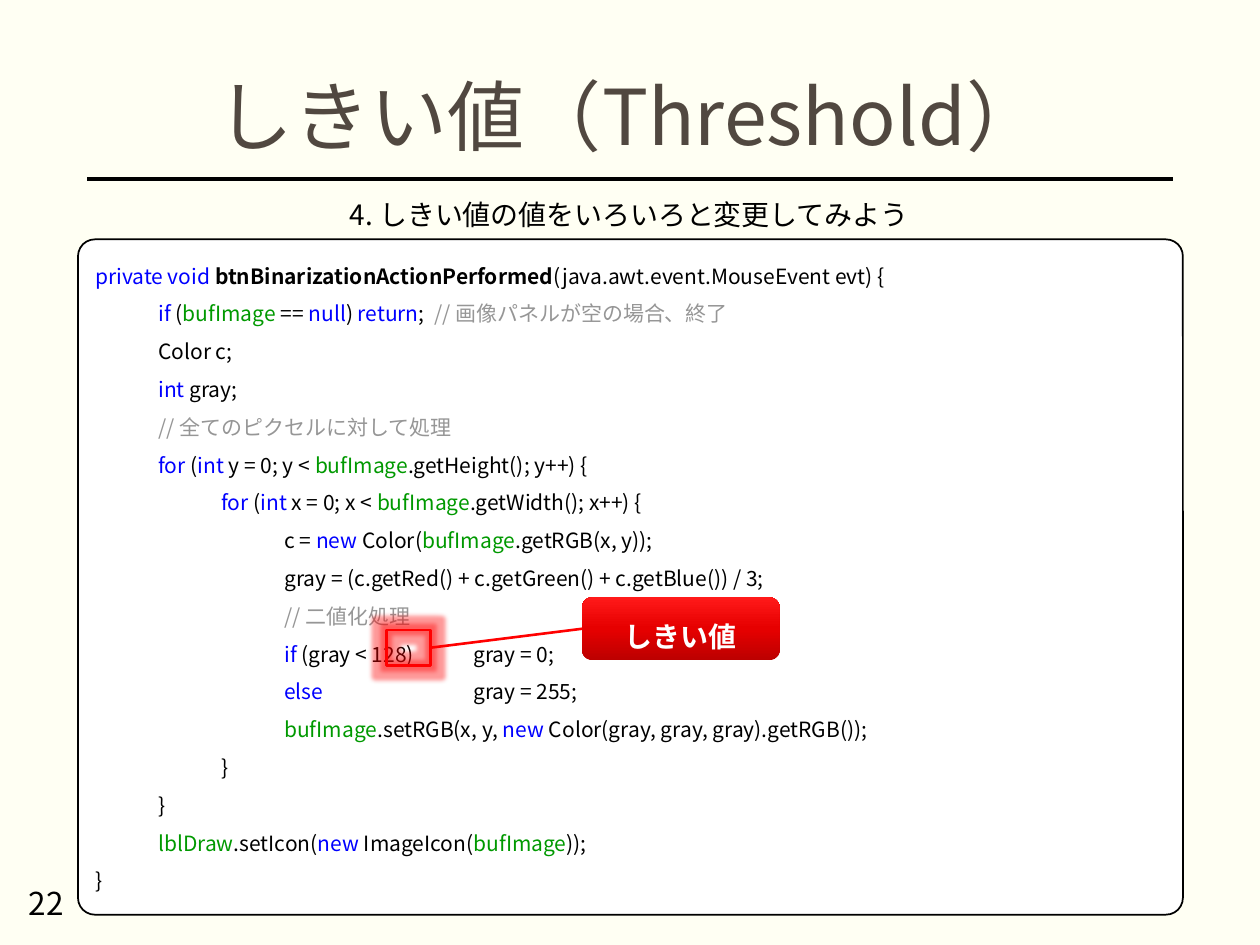
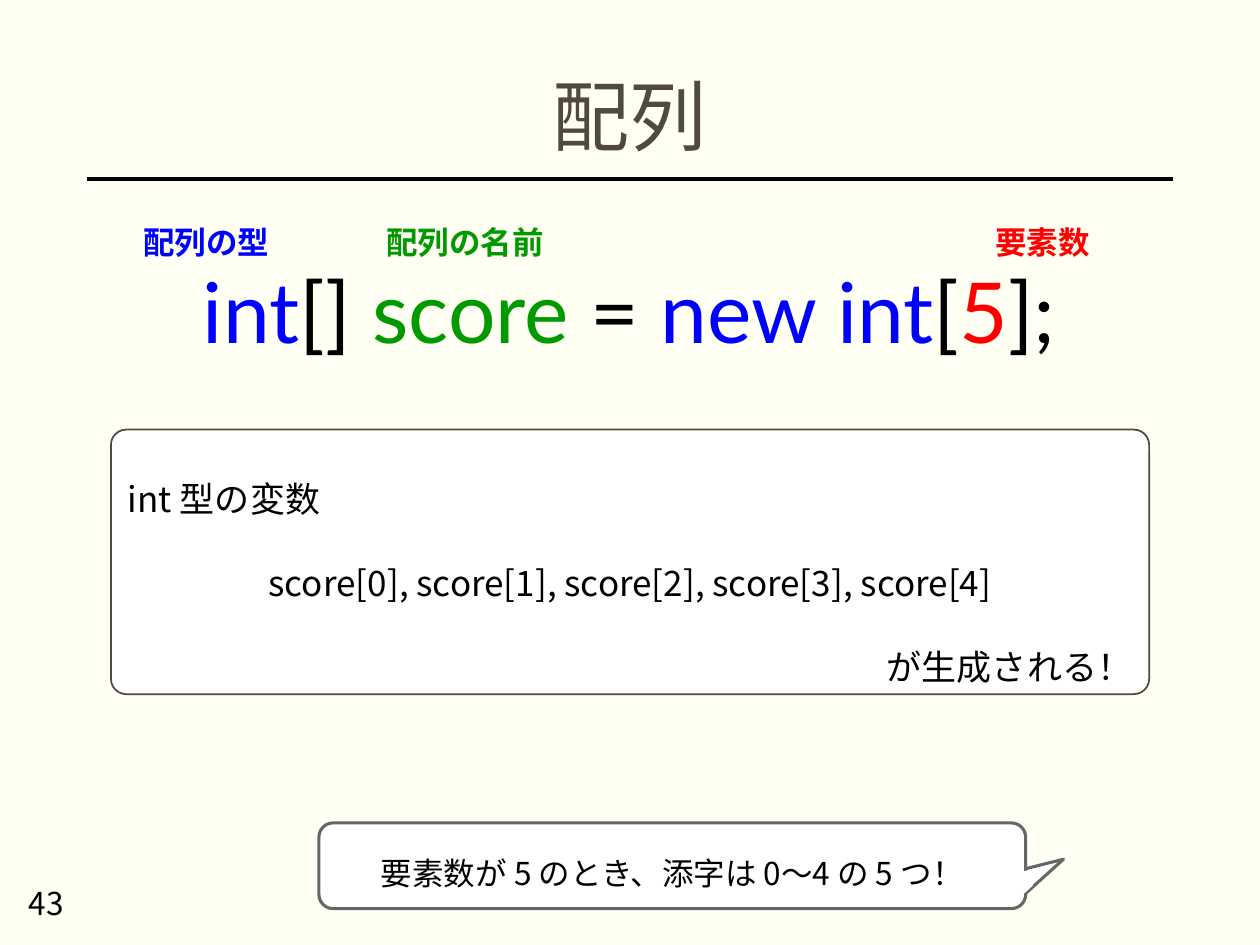
from copy import deepcopy

from lxml import etree
from pptx import Presentation
from pptx.dml.color import RGBColor
from pptx.enum.shapes import MSO_CONNECTOR, MSO_SHAPE
from pptx.enum.text import MSO_ANCHOR, MSO_AUTO_SIZE, PP_ALIGN
from pptx.oxml.ns import qn
from pptx.util import Pt

LEFT, CENTER, RIGHT = PP_ALIGN.LEFT, PP_ALIGN.CENTER, PP_ALIGN.RIGHT
TOP, MIDDLE = MSO_ANCHOR.TOP, MSO_ANCHOR.MIDDLE
RECT, ROUNDED = MSO_SHAPE.RECTANGLE, MSO_SHAPE.ROUNDED_RECTANGLE
STRAIGHT = MSO_CONNECTOR.STRAIGHT
NO_FIT = MSO_AUTO_SIZE.NONE

BODY_FONT, SYNTAX_FONT = "Noto Sans CJK JP", "Lato"
COLORS = {
    "paper": "FFFFF3", "title": "514840", "white": "FFFFFF", "gray": "666666",
    "text": "000000", "method": "000000", "key": "0000FF", "name": "009900",
    "note": "969696", "red": "FF0000",
}
CALLOUT_GRADIENT = ["BC0000", "E60000", "FF1919"]

THRESHOLD_TITLE = "しきい値（Threshold）"
THRESHOLD_TASK = "4. しきい値の値をいろいろと変更してみよう"
THRESHOLD_LABEL = "しきい値"
CODE = [
    (0, [("key", "private void "), ("method", "btnBinarizationActionPerformed"),
         ("text", "(java.awt.event.MouseEvent evt) {")]),
    (1, [("key", "if"), ("text", " ("), ("name", "bufImage"), ("text", " == "),
         ("key", "null"), ("text", ") "), ("key", "return"), ("text", ";  "),
         ("note", "// 画像パネルが空の場合、終了")]),
    (1, [("text", "Color c;")]),
    (1, [("key", "int"), ("text", " gray;")]),
    (1, [("note", "// 全てのピクセルに対して処理")]),
    (1, [("key", "for"), ("text", " ("), ("key", "int"), ("text", " y = 0; y < "),
         ("name", "bufImage"), ("text", ".getHeight(); y++) {")]),
    (2, [("key", "for"), ("text", " ("), ("key", "int"), ("text", " x = 0; x < "),
         ("name", "bufImage"), ("text", ".getWidth(); x++) {")]),
    (3, [("text", "c = "), ("key", "new"), ("text", " Color("), ("name", "bufImage"),
         ("text", ".getRGB(x, y));")]),
    (3, [("text", "gray = (c.getRed() + c.getGreen() + c.getBlue()) / 3;")]),
    (3, [("note", "// 二値化処理")]),
    (3, [("key", "if"), ("text", " (gray < 128)\tgray = 0;")]),
    (3, [("key", "else"), ("text", " \t\t\tgray = 255;")]),
    (3, [("name", "bufImage"), ("text", ".setRGB(x, y, "), ("key", "new"),
         ("text", " Color(gray, gray, gray).getRGB());")]),
    (2, [("text", "}")]),
    (1, [("text", "}")]),
    (1, [("name", "lblDraw"), ("text", ".setIcon("), ("key", "new "),
         ("text", "ImageIcon("), ("name", "bufImage"), ("text", "));")]),
    (0, [("text", "}")]),
]

ARRAY_TITLE = "配列"
ARRAY_SYNTAX = [("key", "int"), ("text", "[] "), ("name", "score "), ("text", "= "),
                ("key", "new int"), ("text", "["), ("red", "5"), ("text", "];")]
ARRAY_LABELS = [("配列の型", "key", 74.9, 87.1), ("配列の名前", "name", 213.8, 105.1),
                ("要素数", "red", 561.6, 69.1)]
ARRAY_RESULT = ["int 型の変数", "score[0], score[1], score[2], score[3], score[4]",
                "が生成される！"]
ARRAY_HINT = "要素数が 5 のとき、添字は 0～4 の 5 つ！"
HINT_TAIL = [(584.6, 496.8), (607.7, 491), (584.6, 511.9)]
TAIL_COVERS = [(580.3, 495.4, 6.5, 12.2, 78), (582.5, 502.6, 5.8, 7.9, 47.5)]


def rgb(color):
    return RGBColor.from_string(COLORS.get(color, color))


def write(frame, text, *, size, color="text", font=BODY_FONT, bold=False, aligns=(LEFT,),
          anchor=TOP, leading=1.27, wrap=True, insets=(7.2, 3.6, 7.2, 3.6), tabs=()):
    frame.auto_size = NO_FIT
    frame.word_wrap = wrap
    frame.vertical_anchor = anchor
    (frame.margin_left, frame.margin_top,
     frame.margin_right, frame.margin_bottom) = map(Pt, insets)
    paragraphs = [text] if isinstance(text, str) else text
    for number, content in enumerate(paragraphs):
        paragraph = frame.add_paragraph() if number else frame.paragraphs[0]
        paragraph.alignment = aligns[number % len(aligns)]
        if leading:
            paragraph.line_spacing = Pt(round(size * leading, 1))
        if tabs:
            tab_list = etree.SubElement(paragraph._p.get_or_add_pPr(), qn("a:tabLst"))
            for stop in tabs:
                etree.SubElement(tab_list, qn("a:tab"), pos=str(Pt(stop)), algn="l")
        for kind, words in [(color, content)] if isinstance(content, str) else content:
            run = paragraph.add_run()
            run.text = words
            run.font.size = Pt(size)
            run.font.bold = bold or kind == "method"
            run.font.color.rgb = rgb(kind)
            run.font.name = font
            etree.SubElement(run._r.get_or_add_rPr(), qn("a:ea"), typeface=font)


def add_text(slide, box, text, **style):
    write(slide.shapes.add_textbox(*map(Pt, box)).text_frame, text, **style)


def paint(shape, fill=None, line=None, width=1):
    shape.shadow.inherit = False
    if fill:
        shape.fill.solid()
        shape.fill.fore_color.rgb = rgb(fill)
    else:
        shape.fill.background()
    if line:
        shape.line.color.rgb = rgb(line)
        shape.line.width = Pt(width)
    else:
        shape.line.fill.background()


def add_panel(slide, kind, box, corner=None, **look):
    panel = slide.shapes.add_shape(kind, *map(Pt, box))
    if corner:
        panel.adjustments[0] = corner
    paint(panel, **look)
    return panel


def add_line(slide, start, end, color, width):
    line = slide.shapes.add_connector(STRAIGHT, *map(Pt, start + end))
    line.line.color.rgb = rgb(color)
    line.line.width = Pt(width)
    etree.SubElement(line._element.spPr, qn("a:effectLst"))


def add_slide(prs, title, page):
    slide = prs.slides.add_slide(prs.slide_layouts[5])
    heading = slide.shapes.title
    heading.left, heading.top, heading.width, heading.height = map(Pt, (49.7, 33.8, 620.6, 61.9))
    write(heading.text_frame, title, size=44, color="title", aligns=(CENTER,),
          anchor=MIDDLE, leading=1.23)
    add_line(slide, (670.3, 102.2), (49.7, 102.2), "text", 2)
    add_text(slide, (9.4, 500.4, 162, 28.8), page, size=18)
    return slide


def add_glow(shape, color, radius, opacity):
    effects = shape._element.spPr.find(qn("a:effectLst"))
    glow = etree.SubElement(effects, qn("a:glow"), rad=str(Pt(radius)))
    tint = etree.SubElement(glow, qn("a:srgbClr"), val=COLORS[color])
    etree.SubElement(tint, qn("a:alpha"), val=str(opacity * 1000))


def fill_gradient(shape, colors):
    shape.fill.gradient()
    shape.fill.gradient_angle = 90
    stops = shape._element.spPr.find(".//" + qn("a:gsLst"))
    stops.insert(1, deepcopy(stops[0]))
    for number, (stop, color) in enumerate(zip(shape.fill.gradient_stops, colors)):
        stop.position = number / (len(colors) - 1)
        stop.color.rgb = rgb(color)


def build_threshold(prs):
    slide = add_slide(prs, THRESHOLD_TITLE, "22")
    listing = add_panel(slide, ROUNDED, (44.6, 136.8, 631.4, 385.9), 0.025,
                        fill="white", line="text")
    lines = [[("text", "\t" * depth)] * bool(depth) + runs for depth, runs in CODE]
    write(listing.text_frame, lines, size=12, leading=1.8,
          tabs=[36 * step for step in range(1, 7)])
    add_text(slide, (43.2, 108, 632.9, 26.6), THRESHOLD_TASK, size=16, aligns=(CENTER,))
    marker = add_panel(slide, RECT, (221, 360, 25.2, 20.2), line="red", width=1.5)
    add_glow(marker, "red", 5, 40)
    callout = add_panel(slide, ROUNDED, (332.6, 341.3, 113, 36))
    fill_gradient(callout, CALLOUT_GRADIENT)
    write(callout.text_frame, THRESHOLD_LABEL, size=16, color="white", bold=True,
          aligns=(CENTER,), anchor=MIDDLE, leading=1.35, insets=(0, 5.8, 0, 0))
    add_line(slide, (332.6, 359.3), (246.2, 370.1), "red", 1.5)


def build_array(prs):
    slide = add_slide(prs, ARRAY_TITLE, "43")
    outline = slide.shapes.build_freeform(*map(Pt, HINT_TAIL[0]))
    outline.add_line_segments([tuple(map(Pt, point)) for point in HINT_TAIL[1:]])
    paint(outline.convert_to_shape(), "white", "gray", 1.75)
    hint = add_panel(slide, ROUNDED, (182.2, 470.2, 403.9, 49),
                     fill="white", line="gray", width=1.75)
    write(hint.text_frame, ARRAY_HINT, size=18, aligns=(CENTER,), anchor=MIDDLE,
          leading=1.35, wrap=False, insets=(7.2, 8.6, 7.2, 3.6))
    for *box, angle in TAIL_COVERS:
        add_panel(slide, RECT, box, fill="white").rotation = angle
    add_text(slide, (13.7, 144.7, 691.9, 65.5), [ARRAY_SYNTAX], size=48,
             font=SYNTAX_FONT, aligns=(CENTER,), leading=None)
    for label, color, left, width in ARRAY_LABELS:
        add_text(slide, (left, 122.4, width, 28.8), label, size=18, color=color,
                 bold=True, wrap=False)
    result = add_panel(slide, ROUNDED, (63.4, 245.5, 593.3, 151.2), 0.058,
                       fill="white", line="title")
    write(result.text_frame, ARRAY_RESULT, size=20, aligns=(LEFT, CENTER, RIGHT),
          anchor=MIDDLE, leading=2.4)


def main():
    prs = Presentation()
    prs.slide_width, prs.slide_height = Pt(720), Pt(540)
    backdrop = prs.slide_master.background.fill
    backdrop.solid()
    backdrop.fore_color.rgb = rgb("paper")
    build_threshold(prs)
    build_array(prs)
    prs.save("out.pptx")


if __name__ == "__main__":
    main()
